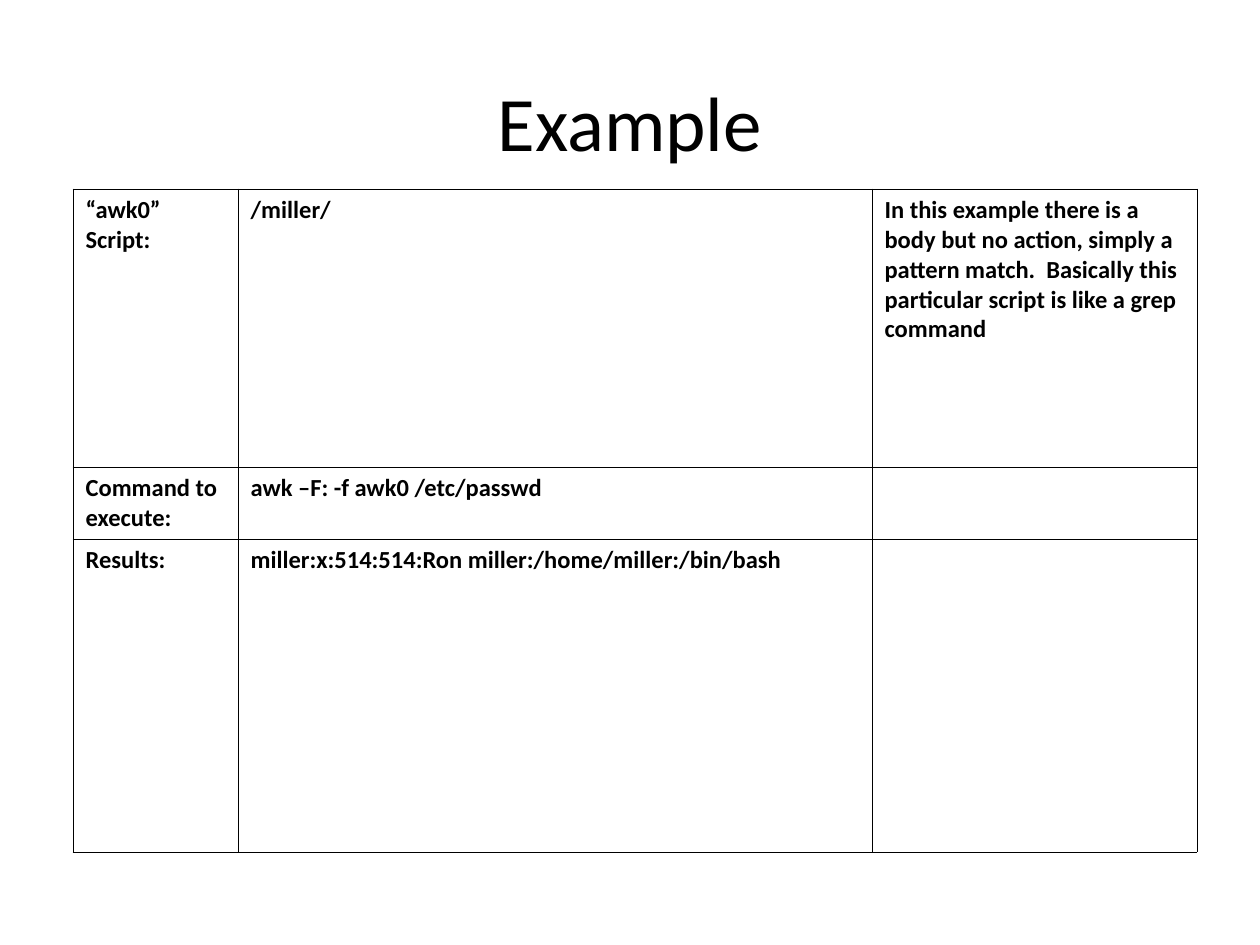
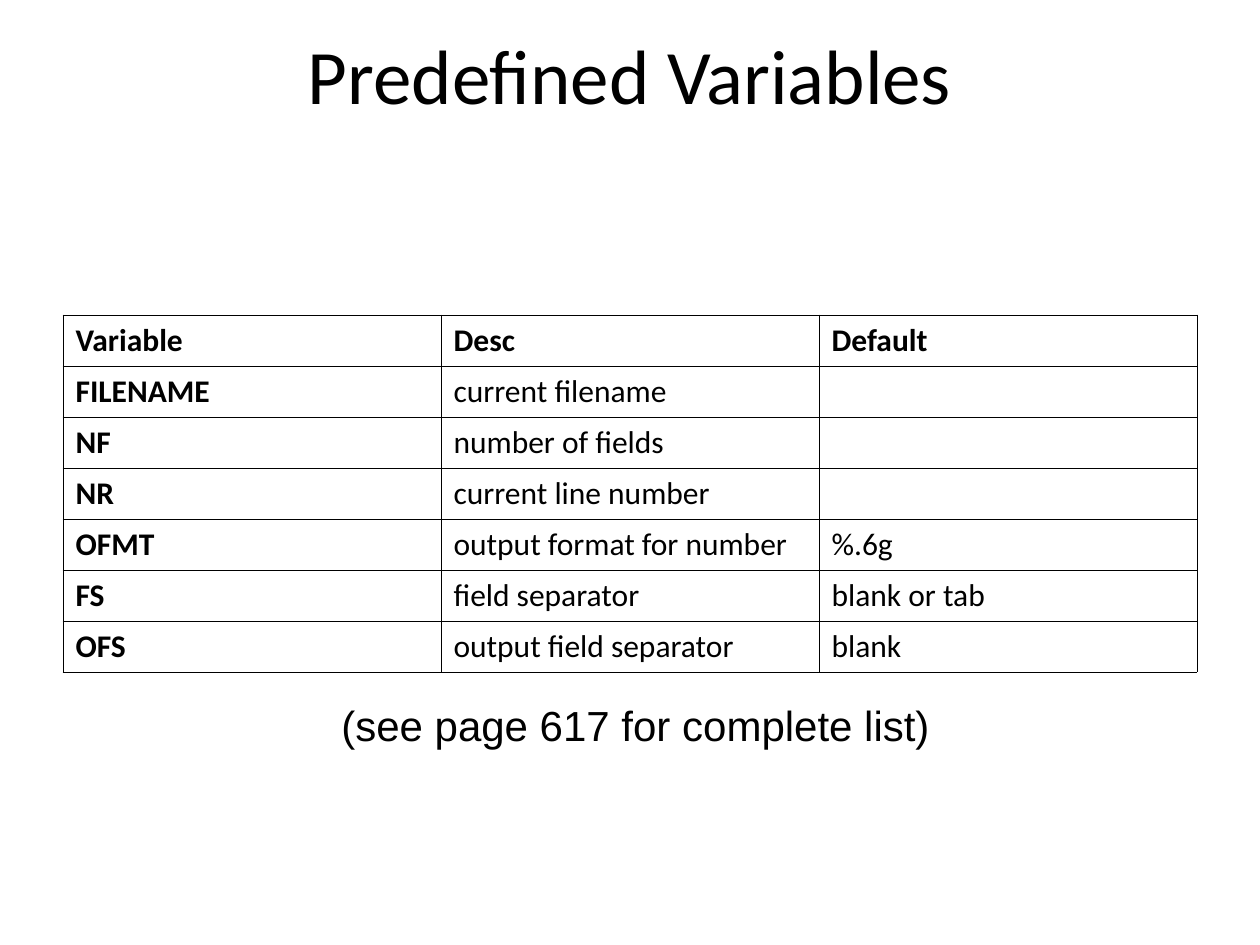
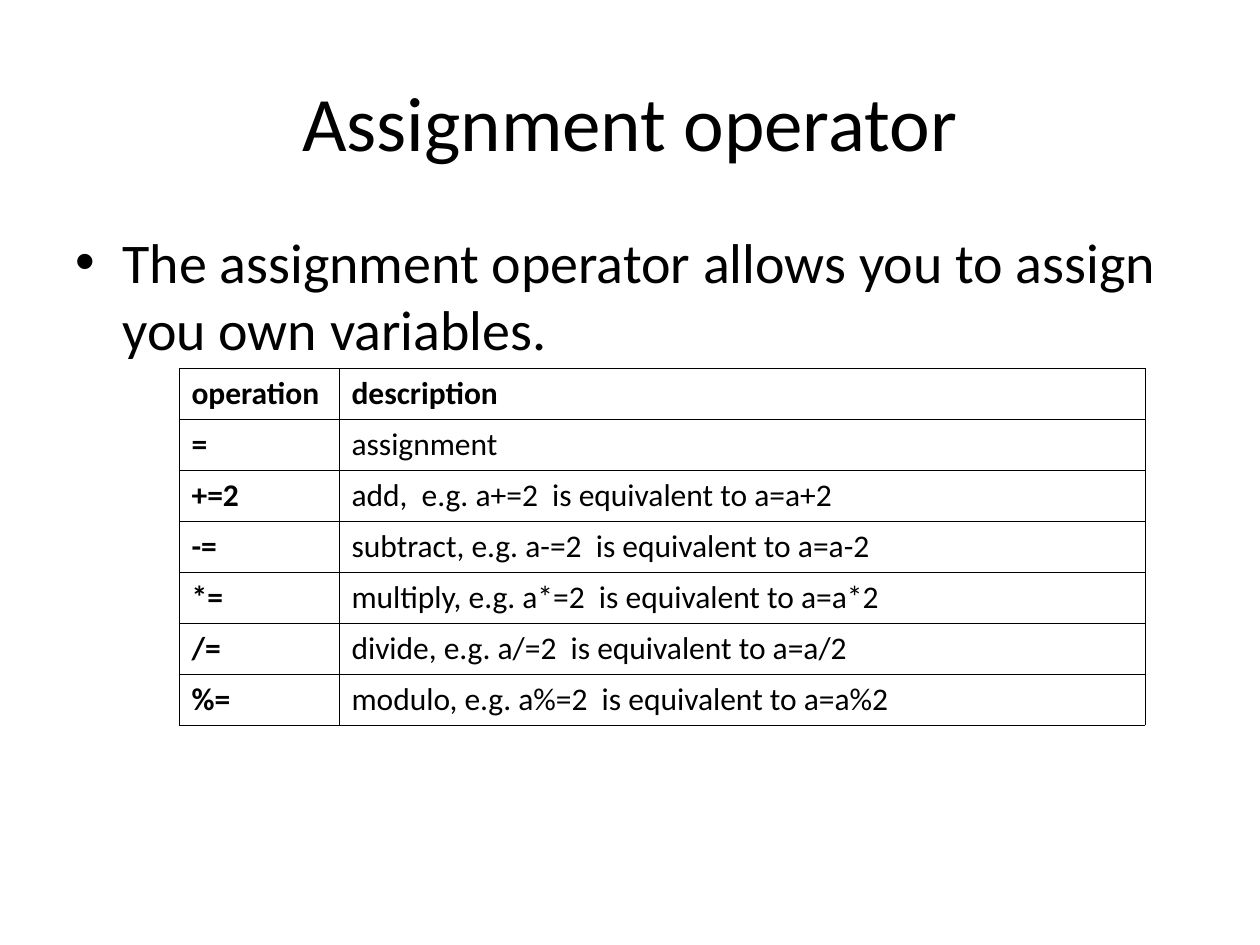
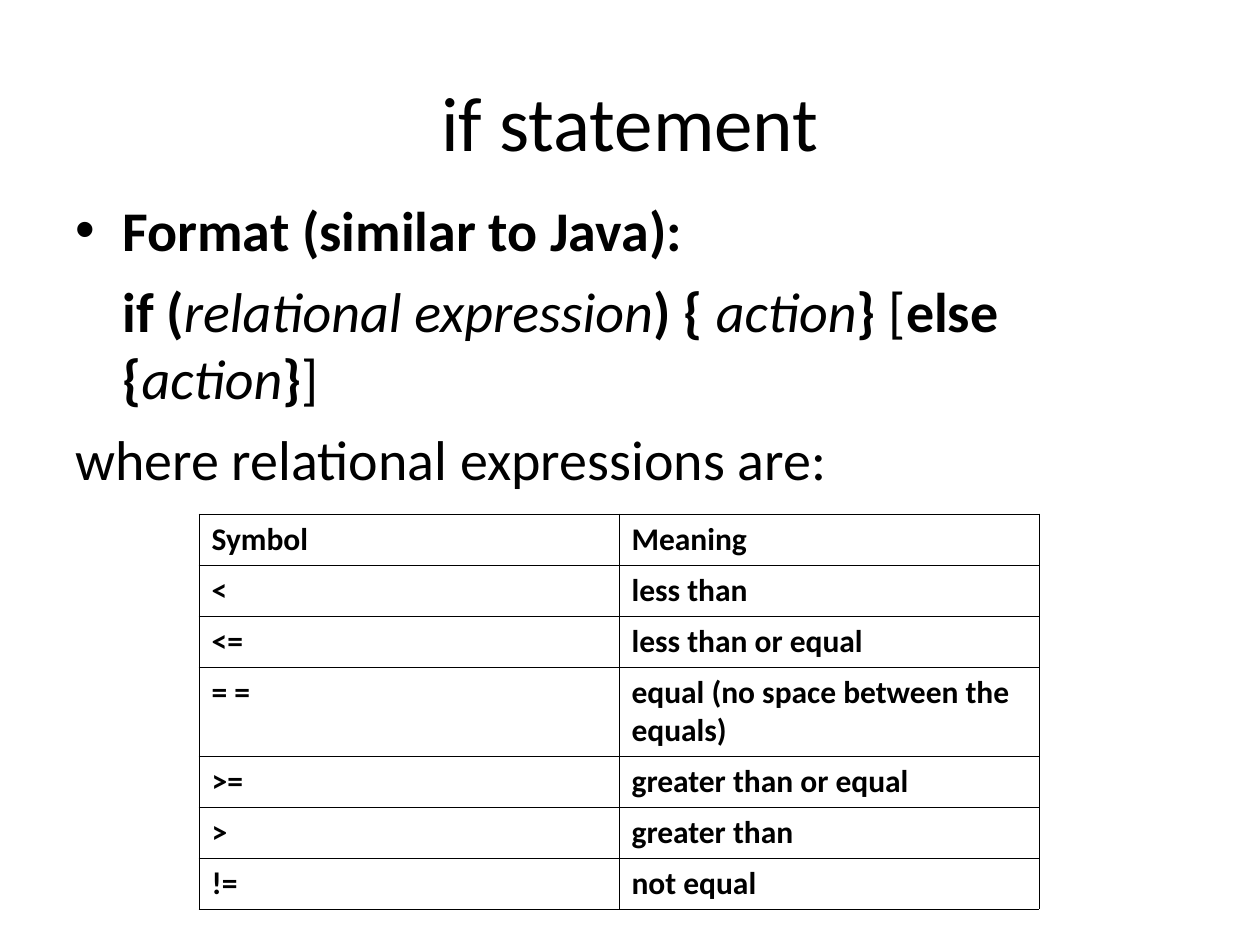
from dataclasses import dataclass

from lxml import etree
from pptx import Presentation
from pptx.dml.color import RGBColor
from pptx.enum.text import MSO_ANCHOR, MSO_AUTO_SIZE, PP_ALIGN
from pptx.oxml.ns import qn
from pptx.util import Emu, Pt

CENTER = PP_ALIGN.CENTER
MIDDLE = MSO_ANCHOR.MIDDLE
FIT_SHAPE = MSO_AUTO_SIZE.SHAPE_TO_FIT_TEXT
PX_PER_INCH = 126


@dataclass(frozen=True)
class Theme:
    """Colours, fonts and type sizes shared by all slides."""
    ink: str = "000000"
    paper: str = "FFFFFF"
    font: str = "Calibri"
    note_font: str = "Arial"
    title: int = 44
    body: int = 32
    note: int = 24
    cell: int = 18
    small_cell: int = 14
    para_gap: int = 8
    border: float = 0.45


THEME = Theme()
TITLE_BOX = (63, 38, 1134, 158)
HIGH_TITLE_BOX = (63, 0, 1134, 139)
TITLE_TOP_INSET = 14
INDENT = 47
ROW = 51
TALL_ROW = 89

AWK_ROWS = [
    ("“awk0” Script:", "/miller/",
     "In this example there is a body but no action, simply a pattern match.  "
     "Basically this particular script is like a grep command"),
    ("Command to execute:", "awk –F: -f awk0 /etc/passwd", ""),
    ("Results:", "miller:x:514:514:Ron miller:/home/miller:/bin/bash", ""),
]
VARIABLES = [
    ("Variable", "Desc", "Default"),
    ("FILENAME", "current filename", ""),
    ("NF", "number of fields", ""),
    ("NR", "current line number", ""),
    ("OFMT", "output format for number", "%.6g"),
    ("FS", "field separator", "blank or tab"),
    ("OFS", "output field separator", "blank"),
]
ASSIGNMENTS = [
    ("operation", "description"),
    ("=", "assignment"),
    ("+=2", "add,  e.g. a+=2  is equivalent to a=a+2"),
    ("-=", "subtract, e.g. a-=2  is equivalent to a=a-2"),
    ("*=", "multiply, e.g. a*=2  is equivalent to a=a*2"),
    ("/=", "divide, e.g. a/=2  is equivalent to a=a/2"),
    ("%=", "modulo, e.g. a%=2  is equivalent to a=a%2"),
]
RELATIONS = [
    ("Symbol", "Meaning"),
    ("<", "less than"),
    ("<=", "less than or equal"),
    ("= =", "equal (no space between the equals)"),
    (">=", "greater than or equal"),
    (">", "greater than"),
    ("!=", "not equal"),
]
ASSIGNMENT_TEXT = [
    ("bullet", [("The assignment operator allows you to assign you own variables.", "")]),
]
IF_TEXT = [
    ("bullet", [("Format (similar to Java):", "b")]),
    ("indent", [("if (", "b"), ("relational expression", "i"), (") { ", "b"),
                ("action", "i"), ("}", "b"), (" [", ""), ("else {", "b"),
                ("action", "i"), ("}", "b"), ("]", "")]),
    ("plain", [("where relational expressions are:", "")]),
]


def px(n):
    """Turn px into EMU."""
    return Emu(round(n * 914400 / PX_PER_INCH))


def add_run(p, text, size, style="", font=THEME.font):
    """Add one run; style holds b for bold and i for italic."""
    r = p.add_run()
    r.text = text
    r.font.name = font
    r.font.size = Pt(size)
    r.font.bold = "b" in style
    r.font.italic = "i" in style
    r.font.color.rgb = RGBColor.from_string(THEME.ink)


def add_text_box(s, box):
    """Add a wrapping text box and return its frame."""
    tf = s.shapes.add_textbox(*map(px, box)).text_frame
    tf.word_wrap = True
    return tf


def add_title(s, text, box=TITLE_BOX):
    """Add the centred slide title."""
    tf = add_text_box(s, box)
    tf.vertical_anchor = MIDDLE
    tf.margin_top = px(TITLE_TOP_INSET)
    p = tf.paragraphs[0]
    p.alignment = CENTER
    add_run(p, text, THEME.title)


def set_indent(p, kind):
    """Give a paragraph its bullet or its left margin."""
    pPr = p._p.get_or_add_pPr()
    if kind != "plain":
        pPr.set("marL", str(px(INDENT)))
    if kind == "bullet":
        pPr.set("indent", str(-px(INDENT)))
        etree.SubElement(pPr, qn("a:buFont"), typeface="Arial")
        etree.SubElement(pPr, qn("a:buChar"), char="•")


def add_body(s, box, paragraphs):
    """Add the body text, one (kind, runs) pair per paragraph."""
    tf = add_text_box(s, box)
    for i, (kind, runs) in enumerate(paragraphs):
        p = tf.add_paragraph() if i else tf.paragraphs[0]
        set_indent(p, kind)
        if i:
            p.space_before = Pt(THEME.para_gap)
        for text, style in runs:
            add_run(p, text, THEME.body, style)


def add_note(s, box, text):
    """Add an unwrapped note."""
    tf = add_text_box(s, box)
    tf.word_wrap = False
    tf.auto_size = FIT_SHAPE
    add_run(tf.paragraphs[0], text, THEME.note, font=THEME.note_font)


def set_borders(cell):
    """Draw a thin line on all four sides of a cell."""
    tcPr = cell._tc.get_or_add_tcPr()
    for side in "LRTB":
        ln = etree.SubElement(tcPr, qn(f"a:ln{side}"), w=str(Pt(THEME.border)))
        fill = etree.SubElement(ln, qn("a:solidFill"))
        etree.SubElement(fill, qn("a:srgbClr"), val=THEME.ink)


def add_grid(s, at, widths, heights, rows, size=THEME.cell, all_bold=False, filled=False):
    """Add a ruled table whose header row and first column are bold."""
    box = (*at, sum(widths), sum(heights))
    table = s.shapes.add_table(len(rows), len(widths), *map(px, box)).table
    table.first_row = table.horz_banding = False
    for col, w in zip(table.columns, widths):
        col.width = px(w)
    for i, (row, h) in enumerate(zip(rows, heights)):
        table.rows[i].height = px(h)
        for j, text in enumerate(row):
            cell = table.cell(i, j)
            set_borders(cell)
            if filled:
                cell.fill.solid()
                cell.fill.fore_color.rgb = RGBColor.from_string(THEME.paper)
            else:
                cell.fill.background()
            if text:
                bold = all_bold or i == 0 or j == 0
                add_run(cell.text_frame.paragraphs[0], text, size, "b" if bold else "")


def example_slide(s):
    """Show a script, its command and its results."""
    add_title(s, "Example")
    add_grid(s, (73, 189), [165, 634, 325], [278, 72, 313], AWK_ROWS,
             THEME.small_cell, all_bold=True, filled=True)


def variables_slide(s):
    """List the predefined variables."""
    add_title(s, "Predefined Variables", HIGH_TITLE_BOX)
    add_grid(s, (63, 315), [378] * 3, [ROW] * len(VARIABLES), VARIABLES)
    add_note(s, (329, 693, 614, 63), "(see page 617 for complete list)")


def assignment_slide(s):
    """List the assignment operators."""
    add_title(s, "Assignment operator")
    add_body(s, (63, 221, 1134, 158), ASSIGNMENT_TEXT)
    add_grid(s, (179, 368), [160, 806], [ROW] * len(ASSIGNMENTS), ASSIGNMENTS)


def if_slide(s):
    """Show the if statement and its relational operators."""
    add_title(s, "if statement")
    add_body(s, (63, 189, 1134, 655), IF_TEXT)
    heights = [TALL_ROW if symbol == "= =" else ROW for symbol, _ in RELATIONS]
    add_grid(s, (199, 514), [420] * 2, heights, RELATIONS, all_bold=True, filled=True)


def main():
    """Build and save the slides."""
    prs = Presentation()
    prs.slide_width, prs.slide_height = px(1260), px(945)
    for build in (example_slide, variables_slide, assignment_slide, if_slide):
        build(prs.slides.add_slide(prs.slide_layouts[6]))
    prs.save("out.pptx")


if __name__ == "__main__":
    main()
